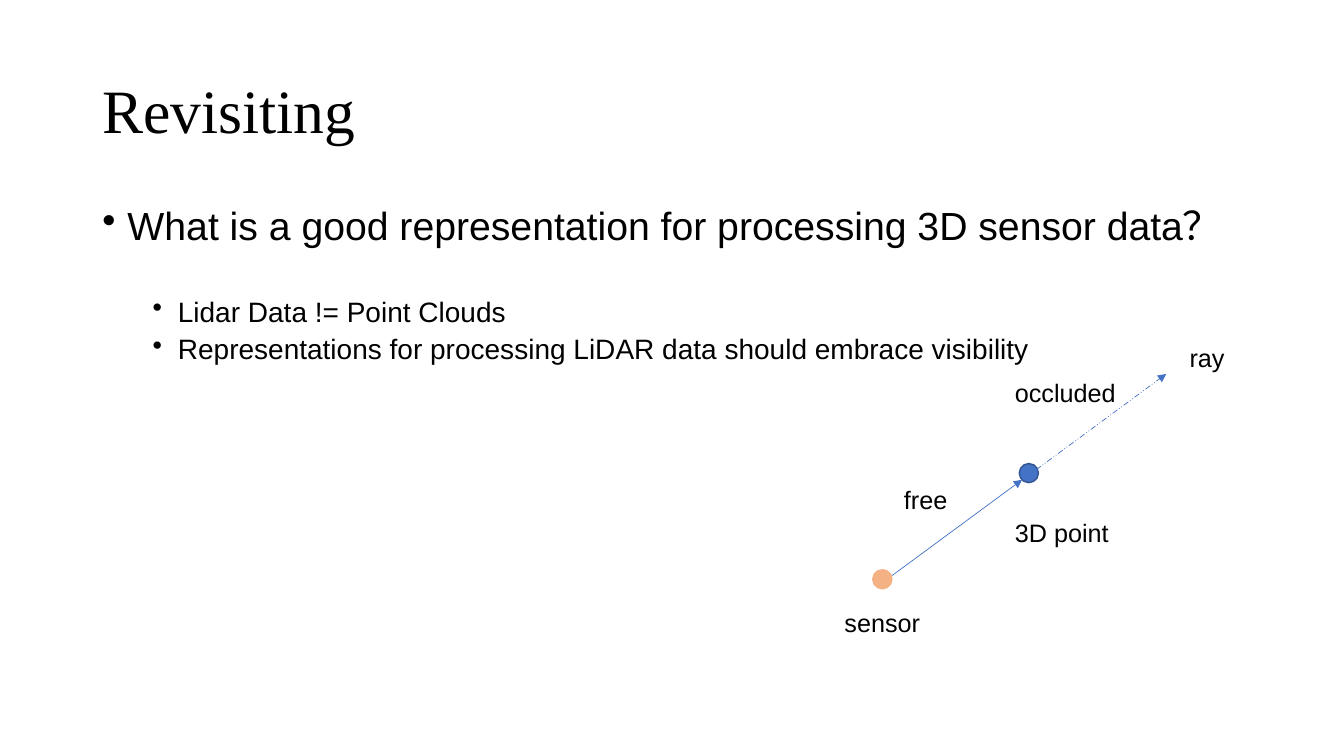
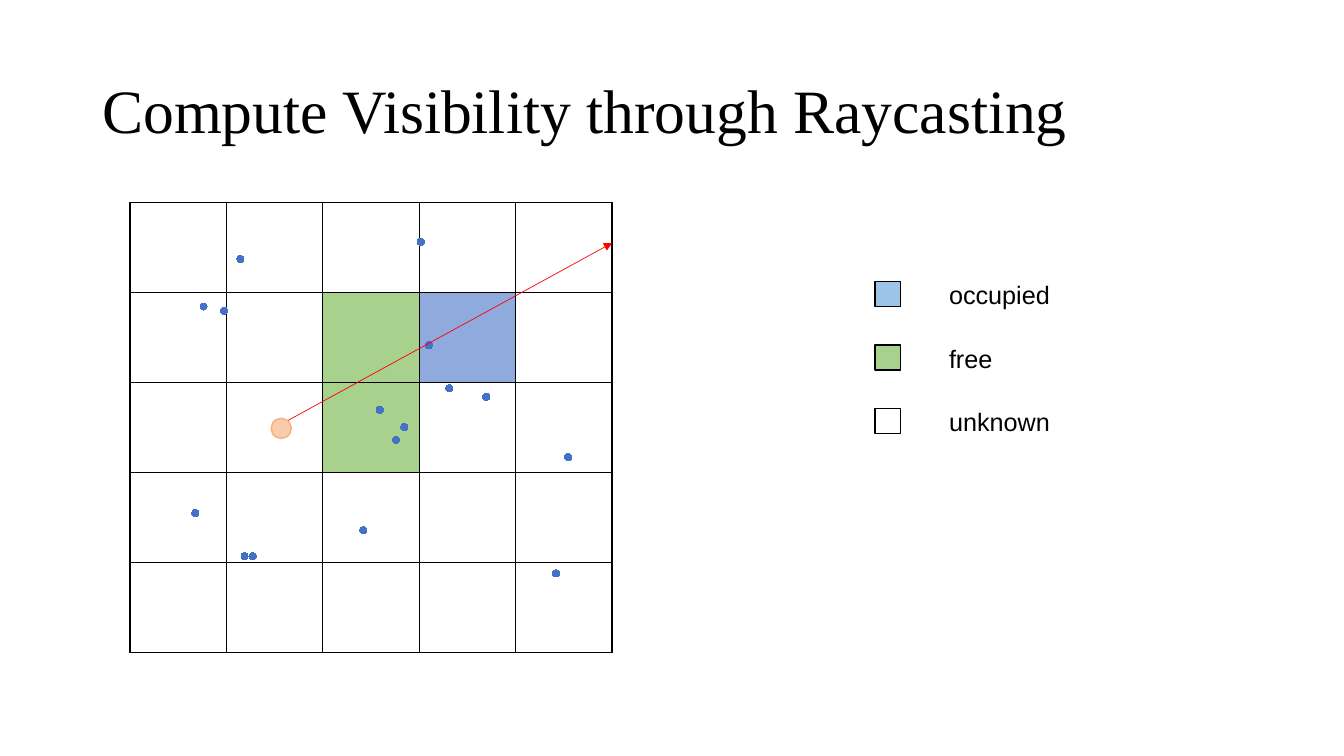
from lxml import etree
from pptx import Presentation
from pptx.chart.data import XyChartData
from pptx.dml.color import RGBColor
from pptx.enum.chart import XL_CHART_TYPE, XL_MARKER_STYLE
from pptx.enum.dml import MSO_LINE
from pptx.enum.shapes import MSO_CONNECTOR, MSO_SHAPE
from pptx.enum.text import MSO_ANCHOR, PP_ALIGN
from pptx.oxml import parse_xml
from pptx.oxml.ns import nsdecls, qn
from pptx.util import Inches, Pt

COLS, ROWS = 40, 22.5
UNIT = Inches(1) / 3
LEFT, CENTER = PP_ALIGN.LEFT, PP_ALIGN.CENTER
TOP, MIDDLE = MSO_ANCHOR.TOP, MSO_ANCHOR.MIDDLE
OVAL, RECT = MSO_SHAPE.OVAL, MSO_SHAPE.RECTANGLE
STRAIGHT = MSO_CONNECTOR.STRAIGHT
DASH = MSO_LINE.DASH_DOT_DOT
SCATTER = XL_CHART_TYPE.XY_SCATTER
CIRCLE = XL_MARKER_STYLE.CIRCLE

SANS, SERIF = "Arial", "Times New Roman"
BLACK, WHITE, RED = "000000", "FFFFFF", "FF0000"
BLUE, NAVY, SKY, STEEL = "4472C4", "325491", "9DC3E6", "8FAADC"
GREEN, ORANGE, PEACH = "A9D18E", "F4B183", "F8CBAD"

GRID = 5
CELL_W, CELL_H = 2.87, 2.68
MAP_X, MAP_Y = 3.87, 6.03
FILLS = {(1, 2): GREEN, (1, 3): STEEL, (2, 2): GREEN}
POINTS = [
    (0.15, 27), (0.1, 84), (0.14, 96), (0.6, 76),
    (0.65, 66), (0.91, 23), (0.05, 85), (0.54, 57),
    (0.58, 100), (0.03, 37), (0.17, 27), (0.48, 61),
    (0.52, 54), (0.44, 33), (0.94, 50), (0.74, 64),
]


def rgb(code):
    return RGBColor.from_string(code)


def span(*cells):
    return [round(cell * UNIT) for cell in cells]


def write(par, text, size=18, font=SANS, color=BLACK, align=LEFT,
          lead=None, before=0, level=0, bullet=False):
    if bullet:
        props = par._p.get_or_add_pPr()
        props.set("marL", str(Inches(0.25 + level / 2)))
        props.set("indent", str(-Inches(0.25)))
        mark = etree.SubElement(props, qn("a:buChar"))
        mark.set("char", "•")
    par.level = level
    par.alignment = align
    par.space_before = Pt(before)
    if lead:
        par.line_spacing = lead
    run = par.add_run()
    run.text = text
    run.font.size = Pt(size)
    run.font.name = font
    run.font.color.rgb = rgb(color)


def frame(slide, area, anchor=TOP):
    body = slide.shapes.add_textbox(*span(*area)).text_frame
    body.word_wrap = True
    body.vertical_anchor = anchor
    return body


def label(slide, text, x, y, width, **style):
    write(frame(slide, (x, y, width, 1.2)).paragraphs[0], text, **style)


def page(deck, title):
    slide = deck.slides.add_slide(deck.slide_layouts[6])
    head = frame(slide, (2.75, 1.2, 34.5, 4.35), MIDDLE)
    write(head.paragraphs[0], title, size=44, font=SERIF, lead=0.9)
    return slide


def mark(slide, kind, x, y, size, fill, line):
    half = size / 2
    shape = slide.shapes.add_shape(kind, *span(x - half, y - half, size, size))
    shape.shadow.inherit = False
    shape.fill.solid()
    shape.fill.fore_color.rgb = rgb(fill)
    shape.line.color.rgb = rgb(line)
    shape.line.width = Pt(1)


def arrow(slide, start, end, color, dash=None):
    link = slide.shapes.add_connector(STRAIGHT, *span(*start, *end))
    link.line.color.rgb = rgb(color)
    link.line.width = Pt(0.5)
    if dash:
        link.line.dash_style = dash
    tip = etree.SubElement(link.line._get_or_add_ln(), qn("a:tailEnd"))
    tip.set("type", "triangle")
    etree.SubElement(link._element.spPr, qn("a:effectLst"))


def border(cell):
    props = cell._tc.get_or_add_tcPr()
    for side in ("lnL", "lnR", "lnT", "lnB"):
        props.append(parse_xml(
            f'<a:{side} {nsdecls("a")} w="{Pt(1)}"><a:solidFill>'
            f'<a:srgbClr val="{BLACK}"/></a:solidFill></a:{side}>'))


def board(slide):
    area = span(MAP_X, MAP_Y, GRID * CELL_W, GRID * CELL_H)
    table = slide.shapes.add_table(GRID, GRID, *area).table
    table.first_row = table.horz_banding = False
    for col in table.columns:
        col.width = span(CELL_W)[0]
    for r, row in enumerate(table.rows):
        row.height = span(CELL_H)[0]
        for c, cell in enumerate(row.cells):
            border(cell)
            cell.fill.solid()
            cell.fill.fore_color.rgb = rgb(FILLS.get((r, c), WHITE))


def clear():
    return parse_xml(
        f'<c:spPr {nsdecls("c", "a")}><a:noFill/>'
        '<a:ln><a:noFill/></a:ln></c:spPr>')


def place(chart, **sides):
    root = chart.element.find(qn("c:chart"))
    plot = root.find(qn("c:plotArea"))
    for old in plot.findall(qn("c:layout")):
        plot.remove(old)
    modes = '<c:xMode val="edge"/><c:yMode val="edge"/>'
    sizes = "".join(f'<c:{k} val="{v}"/>' for k, v in sides.items())
    plot.insert(0, parse_xml(
        f'<c:layout {nsdecls("c")}><c:manualLayout>'
        f'<c:layoutTarget val="inner"/>{modes}{sizes}'
        '</c:manualLayout></c:layout>'))
    plot.append(clear())
    root.addnext(clear())


def cloud(slide):
    data = XyChartData()
    series = data.add_series("Series 1")
    for x, y in POINTS:
        series.add_data_point(x, y)
    area = span(MAP_X, 5.28, GRID * CELL_W, 16.02)
    chart = slide.shapes.add_chart(SCATTER, *area, data).chart
    chart.has_legend = chart.has_title = False
    chart.font.name = SANS
    chart.font.size = Pt(10)
    chart.font.color.rgb = rgb(BLACK)
    for axis, top in ((chart.category_axis, 1), (chart.value_axis, 105)):
        axis.minimum_scale, axis.maximum_scale = 0, top
        axis.has_major_gridlines = False
        axis.visible = False
    chart.plots[0].vary_by_categories = False
    dots = chart.plots[0].series[0]
    dots.format.line.fill.background()
    dots.marker.style = CIRCLE
    dots.marker.size = 5
    dots.marker.format.fill.solid()
    dots.marker.format.fill.fore_color.rgb = rgb(BLUE)
    dots.marker.format.line.color.rgb = rgb(BLUE)
    place(chart, x=0.11, y=0.08, w=0.85, h=0.84)


def revisit(deck):
    slide = page(deck, "Revisiting")
    body = frame(slide, (2.75, 6, 34.5, 14.28))
    lines = [
        ("What is a good representation for processing 3D sensor data？",
         28, 0, 0),
        ("Lidar Data != Point Clouds", 20, 1, 35),
        ("Representations for processing LiDAR data should embrace visibility",
         20, 1, 5),
    ]
    for i, (text, size, level, before) in enumerate(lines):
        par = body.add_paragraph() if i else body.paragraphs[0]
        write(par, text, size=size, level=level, before=before,
              lead=0.9, bullet=True)
    mark(slide, OVAL, 26.26, 17.24, 0.57, ORANGE, ORANGE)
    arrow(slide, (26.55, 17.13), (30.42, 14.28), BLUE)
    mark(slide, OVAL, 30.62, 14.08, 0.57, BLUE, NAVY)
    arrow(slide, (30.84, 13.98), (34.71, 11.13), BLUE, DASH)
    label(slide, "sensor", 24.84, 17.94, 2.88)
    label(slide, "3D point", 29.91, 15.24, 3.45)
    label(slide, "ray", 34.2, 10.05, 3.45, align=CENTER)
    label(slide, "free", 26.61, 14.28, 2.22)
    label(slide, "occluded", 29.91, 11.07, 3.87)


def raycast(deck):
    slide = page(deck, "Compute Visibility through Raycasting")
    board(slide)
    cloud(slide)
    mark(slide, OVAL, 8.37, 12.75, 0.6, PEACH, ORANGE)
    keys = (("occupied", SKY), ("free", GREEN), ("unknown", WHITE))
    for i, (text, fill) in enumerate(keys):
        y = 8.75 + 1.89 * i
        mark(slide, RECT, 26.42, y, 0.75, fill, BLACK)
        label(slide, text, 27.95, y - 0.58, 4.35)
    arrow(slide, (8.58, 12.51), (MAP_X + GRID * CELL_W, 7.23), RED)


def main():
    deck = Presentation()
    deck.slide_width, deck.slide_height = span(COLS, ROWS)
    revisit(deck)
    raycast(deck)
    deck.save("out.pptx")


if __name__ == "__main__":
    main()
